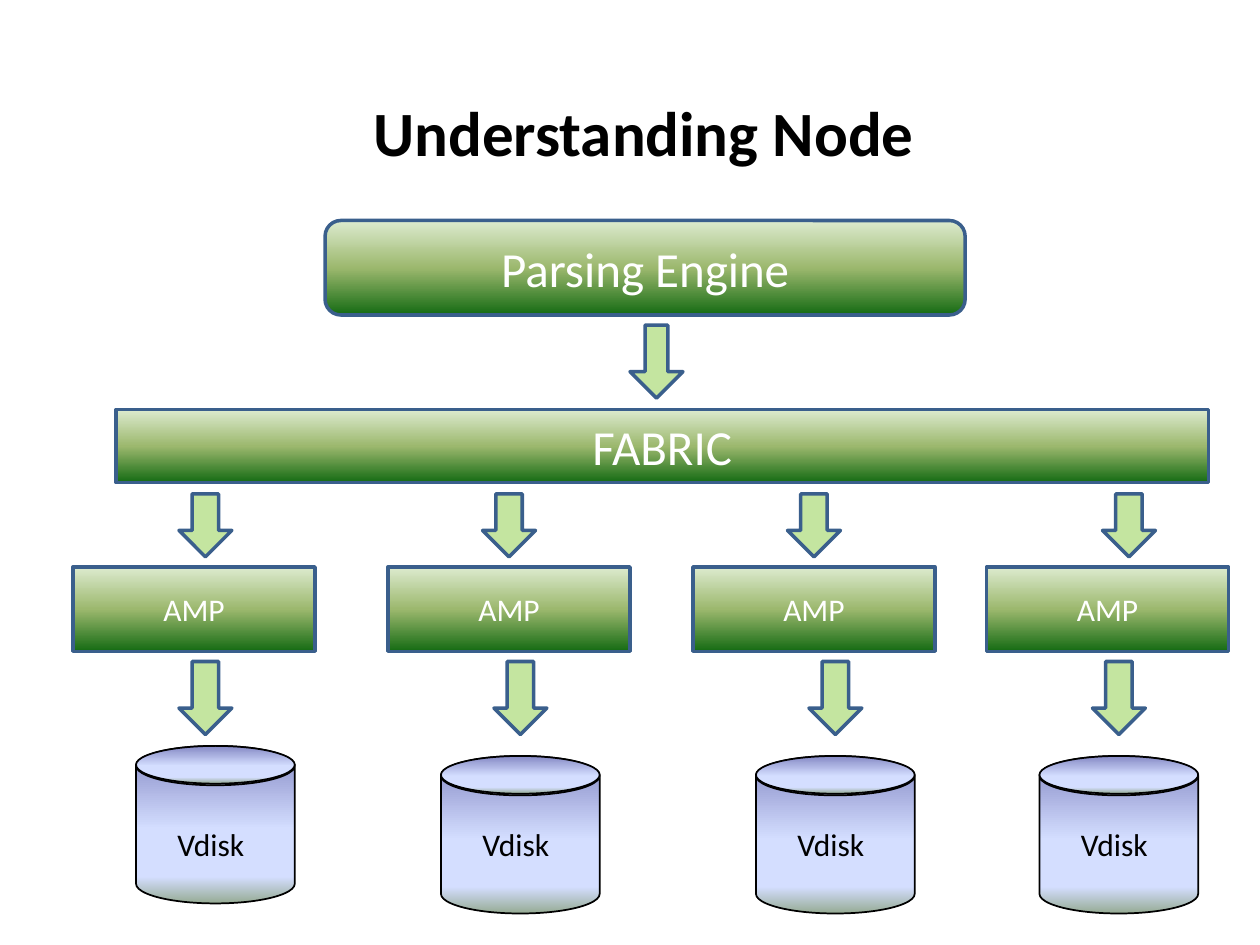
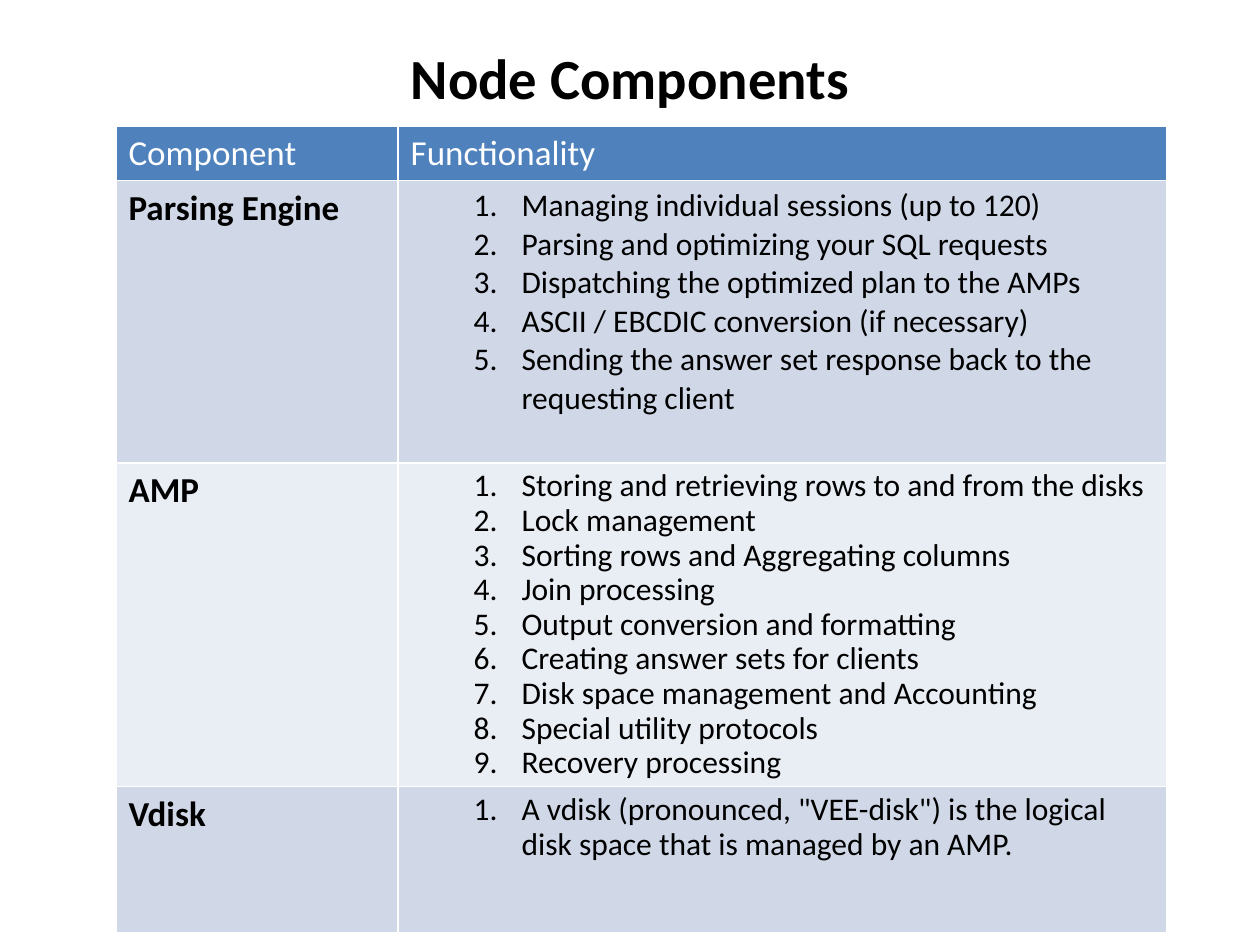
from dataclasses import dataclass
from lxml.etree import SubElement
from pptx import Presentation
from pptx.dml.color import RGBColor
from pptx.enum.shapes import MSO_SHAPE
from pptx.enum.text import MSO_ANCHOR, PP_ALIGN
from pptx.oxml.ns import qn
from pptx.util import Inches, Pt


@dataclass(frozen=True)
class Theme:
    font: str = "Calibri"
    black: str = "000000"
    white: str = "FFFFFF"
    outline: str = "3A5F8C"
    arrow: str = "92D050"
    arrow_alpha: int = 54
    node: tuple = ((0, "DDEBCF"), (50, "9CB86E"), (100, "156B13"))
    disk: tuple = ((0, "8488C4"), (53, "D4DEFF"), (83, "D4DEFF"), (100, "96AB94"))
    header: str = "4F81BD"
    bands: tuple = ("D0D8E8", "E9EDF4")
    diagram_title: float = 36
    table_title: float = 32.4
    large: float = 28
    heading: float = 20
    body: float = 18


theme = Theme()


def draw(slide, kind, box, paint, line=theme.outline, width=2):
    """Add a preset shape with a gradient, or a translucent colour, as its fill."""
    shape = slide.shapes.add_shape(kind, *map(Inches, box))
    shape.shadow.inherit = False
    shape.line.color.rgb = RGBColor.from_string(line)
    shape.line.width = Pt(width)
    if isinstance(paint, str):
        shape.fill.solid()
        shape.fill.fore_color.rgb = RGBColor.from_string(paint)
        color = shape._element.spPr.find(qn("a:solidFill"))[0]
        SubElement(color, qn("a:alpha"), val=str(theme.arrow_alpha * 1000))
    else:
        shape.fill.gradient()
        shape.fill.gradient_angle = 270
        stops = shape._element.spPr.find(qn("a:gradFill")).find(qn("a:gsLst"))
        stops.clear()
        for position, color in paint:
            stop = SubElement(stops, qn("a:gs"), pos=str(position * 1000))
            SubElement(stop, qn("a:srgbClr"), val=color)
    return shape


def write(frame, lines, size, color=theme.black, bold=False, align=PP_ALIGN.LEFT):
    """Fill a text frame with one paragraph per line, and return the paragraphs."""
    frame.text = "\n".join(lines)
    frame.word_wrap = True
    for paragraph in frame.paragraphs:
        paragraph.alignment = align
        paragraph.font.name = theme.font
        paragraph.font.size = Pt(size)
        paragraph.font.bold = bold
        paragraph.font.color.rgb = RGBColor.from_string(color)
    return frame.paragraphs


prs = Presentation()
prs.slide_width, prs.slide_height = Inches(10), Inches(7.5)

# Slides and their titles
titles = [
    ("Understanding Node", (0.61, 0.42, 9, 1.25), theme.diagram_title),
    ("Node Components", (0.5, 0.3, 9, 0.62), theme.table_title),
]
slides = []
for title, box, size in titles:
    slide = prs.slides.add_slide(prs.slide_layouts[6])
    heading = slide.shapes.add_textbox(*map(Inches, box)).text_frame
    heading.vertical_anchor = MSO_ANCHOR.MIDDLE
    write(heading, [title], size, bold=True, align=PP_ALIGN.CENTER)
    slides.append(slide)
node_slide, components_slide = slides

# Engine, network and AMP boxes
amp_lefts = [0.58, 3.08, 5.5, 7.83]
nodes = [
    ("Parsing Engine", MSO_SHAPE.ROUNDED_RECTANGLE, (2.58, 1.75, 5.08, 0.75), theme.large),
    ("FABRIC", MSO_SHAPE.RECTANGLE, (0.92, 3.25, 8.67, 0.58), theme.large),
]
nodes += [("AMP", MSO_SHAPE.RECTANGLE, (left, 4.5, 1.92, 0.67), theme.body) for left in amp_lefts]
for label, kind, box, size in nodes:
    node = draw(node_slide, kind, box, theme.node)
    write(node.text_frame, [label], size, theme.white, align=PP_ALIGN.CENTER)

# Arrows between the levels: top, height, left edges
arrow_levels = [
    (2.58, 0.58, [5]),
    (3.92, 0.5, [1.42, 3.83, 6.25, 8.75]),
    (5.25, 0.58, [1.42, 3.92, 6.42, 8.67]),
]
for top, height, lefts in arrow_levels:
    for left in lefts:
        arrow = draw(node_slide, MSO_SHAPE.DOWN_ARROW, (left, top, 0.42, height), theme.arrow)
        if len(lefts) == 1:
            arrow.adjustments[0] = 0.43

# Virtual disks: a can with a lid and a label
for left, top in [(1.08, 5.92), (3.5, 6), (6, 6), (8.25, 6)]:
    for kind, height in [(MSO_SHAPE.CAN, 1.25), (MSO_SHAPE.OVAL, 0.3)]:
        draw(node_slide, kind, (left, top, 1.26, height), theme.disk, theme.black, 1)
    disk_label = node_slide.shapes.add_textbox(*map(Inches, (left + 0.23, 6.5, 1, 0.4)))
    write(disk_label.text_frame, ["Vdisk"], theme.body)

# Component table: name, row height, line spacing, functions
components = [
    ("Parsing Engine", 2.24, 1.0, [
        "Managing individual sessions (up to 120)",
        "Parsing and optimizing your SQL requests",
        "Dispatching the optimized plan to the AMPs",
        "ASCII / EBCDIC conversion (if necessary)",
        "Sending the answer set response back to the requesting client",
    ]),
    ("AMP", 2.57, 0.9, [
        "Storing and retrieving rows to and from the disks",
        "Lock management",
        "Sorting rows and Aggregating columns",
        "Join processing",
        "Output conversion and formatting",
        "Creating answer sets for clients",
        "Disk space management and Accounting",
        "Special utility protocols",
        "Recovery processing",
    ]),
    ("Vdisk", 1.16, 0.9, [
        'A vdisk (pronounced, "VEE-disk") is the logical disk space that is managed by an AMP.',
    ]),
]
table = components_slide.shapes.add_table(
    len(components) + 1, 2, *map(Inches, (0.92, 1, 8.34, 6.4))).table
for column, width in zip(table.columns, (2.24, 6.1)):
    column.width = Inches(width)
table.rows[0].height = Inches(0.43)
for cell, label in zip(table.rows[0].cells, ("Component", "Functionality")):
    write(cell.text_frame, [label], theme.heading, theme.white)
    cell.fill.solid()
    cell.fill.fore_color.rgb = RGBColor.from_string(theme.header)

for index, (component, height, spacing, functions) in enumerate(components):
    row = table.rows[index + 1]
    row.height = Inches(height)
    name_cell, function_cell = row.cells
    write(name_cell.text_frame, [component], theme.heading, bold=True)
    for function in write(function_cell.text_frame, functions, theme.body):
        function.line_spacing = spacing
        properties = function._p.get_or_add_pPr()
        properties.set("marL", str(Inches(0.88)))
        properties.set("indent", str(Inches(-0.38)))
        numbering = properties.makeelement(qn("a:buAutoNum"), {"type": "arabicPeriod"})
        properties.find(qn("a:defRPr")).addprevious(numbering)
    for cell in row.cells:
        cell.fill.solid()
        cell.fill.fore_color.rgb = RGBColor.from_string(theme.bands[index % 2])

prs.save("out.pptx")
